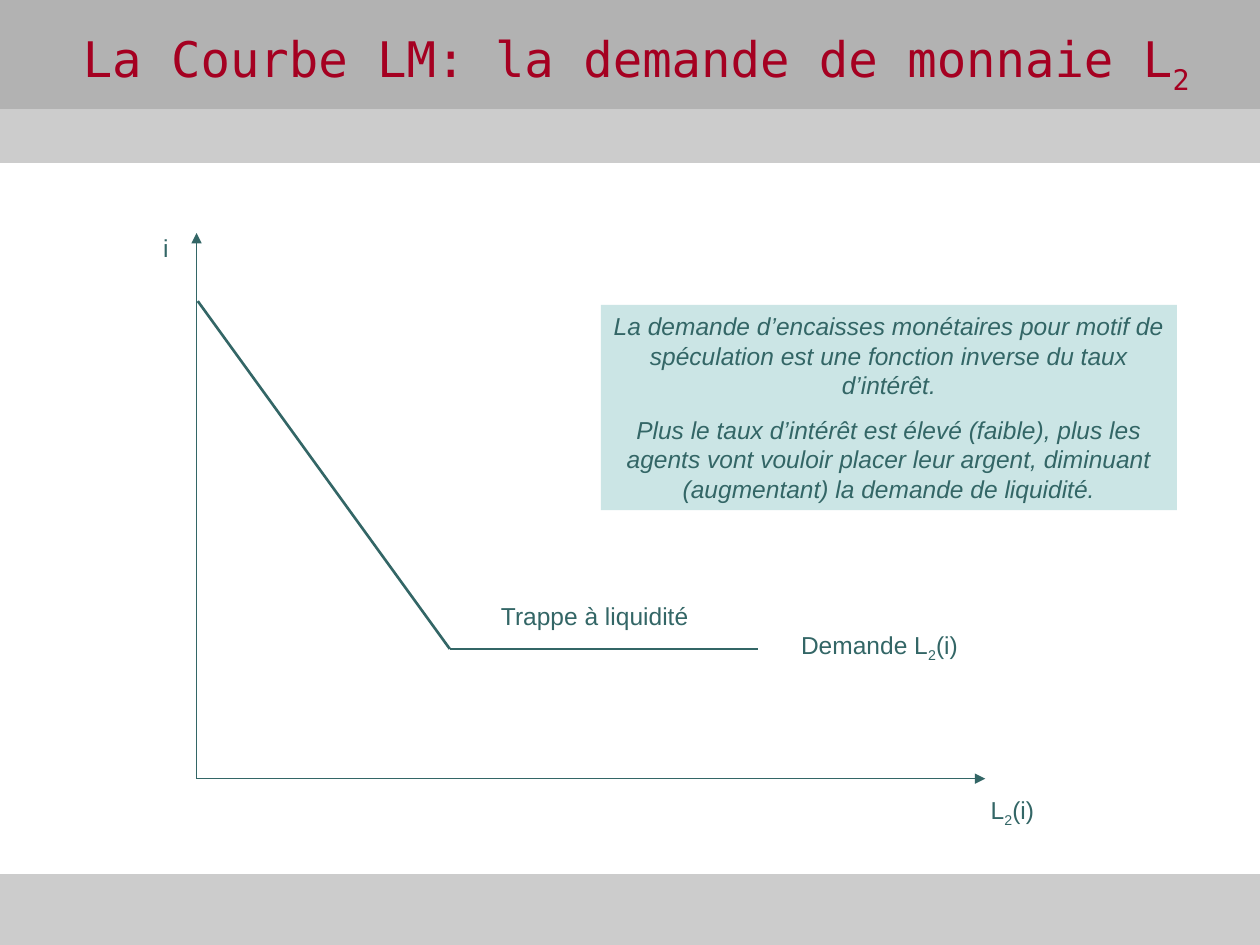
from lxml.etree import SubElement
from pptx import Presentation
from pptx.dml.color import RGBColor
from pptx.enum.shapes import MSO_CONNECTOR, MSO_SHAPE
from pptx.enum.text import MSO_ANCHOR, MSO_AUTO_SIZE, PP_ALIGN
from pptx.oxml.ns import qn
from pptx.util import Pt

COLORS = {"band": "CCCCCC", "header": "B2B2B2", "title": "A50021", "ink": "336666", "note": "99CCCC"}
TITLE = [("La Courbe LM: la demande de monnaie L", False), ("2", True)]
BANDS = [("band", 43.2, 49.68), ("header", 0, 61.92), ("band", 499.68, 40.32)]
ORIGIN, KINK = (112.32, 444.96), (257.04, 370.8)
LINES = [
    (ORIGIN, (ORIGIN[0], 133.2), 0.75, True),
    (ORIGIN, (563.04, ORIGIN[1]), 0.75, True),
    (KINK, (113.04, 172.08), 1.5, False),
    (KINK, (433.44, KINK[1]), 1.5, False),
]
LABELS = [
    ([("i", False)], (80.64, 129.6, 28.08, 24.48)),
    ([("Trappe à liquidité", False)], (267.84, 339.84, 144, 24.48)),
    ([("L", False), ("2", True), ("(i)", False)], (550.08, 450.72, 56.88, 26.64)),
    ([("Demande L", False), ("2", True), ("(i)", False)], (443.52, 356.4, 118.08, 26.64)),
]
NOTE = [
    [("La demande d’encaisses monétaires pour motif de spéculation est une fonction "
      "inverse du taux d’intérêt.", False)],
    [("Plus le taux d’intérêt est élevé (faible), plus les agents vont vouloir placer leur "
      "argent, diminuant (augmentant) la demande de liquidité.", False)],
]
NOTE_PLACE = (343.44, 174.24, 329.04, 117.36)
TITLE_FONT = {"name": "DejaVu Sans Mono", "size": Pt(28), "bold": False, "italic": False}
LABEL_FONT = {"name": "Arial", "size": Pt(14), "bold": False, "italic": False}
NOTE_FONT = LABEL_FONT | {"italic": True}


def color(name):
    """Return the named colour."""
    return RGBColor.from_string(COLORS[name])


def set_values(target, values):
    """Set each attribute in a dict of values."""
    for name, value in values.items():
        setattr(target, name, value)


def write(shape, paragraphs, font, color_name, anchor=MSO_ANCHOR.TOP):
    """Write centred paragraphs of (text, is subscript) runs."""
    frame = shape.text_frame
    set_values(frame, {
        "word_wrap": True, "auto_size": MSO_AUTO_SIZE.NONE, "vertical_anchor": anchor,
        "margin_left": Pt(7.2), "margin_right": Pt(7.2),
        "margin_top": Pt(3.6), "margin_bottom": Pt(3.6),
    })
    for index, runs in enumerate(paragraphs):
        paragraph = frame.add_paragraph() if index else frame.paragraphs[0]
        set_values(paragraph, {"alignment": PP_ALIGN.CENTER, "space_before": Pt(8.8 if index else 0)})
        for text, is_subscript in runs:
            run = paragraph.add_run()
            run.text = text
            set_values(run.font, font)
            run.font.color.rgb = color(color_name)
            if is_subscript:
                run.font._element.set("baseline", "-25000")


def add_rectangle(slide, place, fill):
    """Add a plain filled rectangle."""
    shape = slide.shapes.add_shape(MSO_SHAPE.RECTANGLE, *map(Pt, place))
    shape.shadow.inherit = False
    shape.fill.solid()
    shape.fill.fore_color.rgb = color(fill)
    return shape


def add_line(slide, start, end, width, has_arrow):
    """Add a straight line with an optional arrowhead at its end."""
    line = slide.shapes.add_connector(MSO_CONNECTOR.STRAIGHT, *map(Pt, start + end))
    line.line.color.rgb = color("ink")
    line.line.width = Pt(width)
    if has_arrow:
        SubElement(line.line._get_or_add_ln(), qn("a:tailEnd"), type="triangle")
    SubElement(line._element.spPr, qn("a:effectLst"))


def main():
    """Build the slide on the demand for money."""
    presentation = Presentation()
    set_values(presentation, {"slide_width": Pt(720), "slide_height": Pt(540)})
    slide = presentation.slides.add_slide(presentation.slide_layouts[5])

    for fill, top, height in BANDS:
        band = add_rectangle(slide, (0, top, 720, height), fill)
        band.line.color.rgb = color(fill)
        band.line.width = Pt(0.75)

    title = slide.shapes.title
    slide.shapes._spTree.append(title._element)
    set_values(title, {"left": Pt(23.76), "top": Pt(15.12), "width": Pt(679.68), "height": Pt(41.04)})
    write(title, [TITLE], TITLE_FONT, "title", MSO_ANCHOR.MIDDLE)

    for line in LINES:
        add_line(slide, *line)

    note = add_rectangle(slide, NOTE_PLACE, "note")
    note.line.fill.background()
    fill_color = note._element.spPr.find(qn("a:solidFill"))[0]
    SubElement(fill_color, qn("a:alpha"), val="50000")
    write(note, NOTE, NOTE_FONT, "ink")

    for runs, place in LABELS:
        write(slide.shapes.add_textbox(*map(Pt, place)), [runs], LABEL_FONT, "ink")

    presentation.save("out.pptx")


if __name__ == "__main__":
    main()
